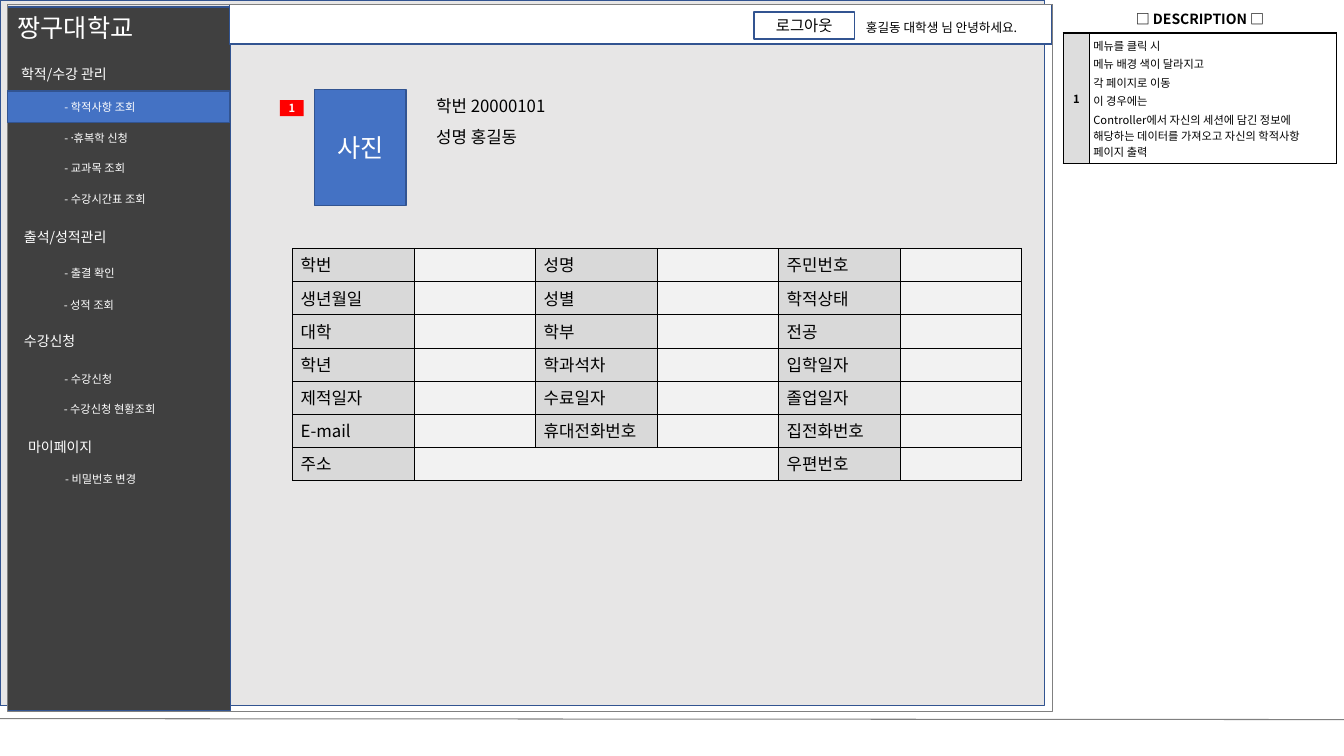
from lxml.etree import SubElement
from pptx import Presentation
from pptx.dml.color import RGBColor
from pptx.enum.shapes import MSO_CONNECTOR, MSO_SHAPE
from pptx.enum.text import MSO_ANCHOR, PP_ALIGN
from pptx.oxml import parse_xml
from pptx.oxml.ns import nsdecls, qn
from pptx.util import Pt

FONT = "Noto Sans CJK KR"
BLACK = RGBColor(0x00, 0x00, 0x00)
WHITE = RGBColor(0xFF, 0xFF, 0xFF)
NAVY = RGBColor(0x32, 0x54, 0x91)
BLUE = RGBColor(0x44, 0x72, 0xC4)
RED = RGBColor(0xFF, 0x00, 0x00)
GRAY = RGBColor(0x80, 0x80, 0x80)
DARK = RGBColor(0x40, 0x40, 0x40)
PAGE_GRAY = RGBColor(0xE7, 0xE6, 0xE6)
LABEL_GRAY = RGBColor(0xD9, 0xD9, 0xD9)
VALUE_GRAY = RGBColor(0xF2, 0xF2, 0xF2)
NUMBER_GRAY = RGBColor(0xDD, 0xDD, 0xDD)

MENU_HEADINGS = [
    ("학적/수강 관리", 8, 43),
    ("출석/성적관리", 10, 160),
    ("수강신청", 10, 234),
    ("마이페이지", 13, 309.5),
]
MENU_ITEMS = [
    ("- 학적사항 조회", 39, 68),
    ("- 휴〮복학 신청", 39, 90),
    ("- 교과목 조회", 39, 111.5),
    ("- 수강시간표 조회", 39, 134),
    ("- 출결 확인", 39, 186.5),
    ("- 성적 조회", 38.5, 209.5),
    ("- 수강신청", 39, 262.5),
    ("- 수강신청 현황조회", 38.5, 284),
    ("- 비밀번호 변경", 39.5, 333.5),
]
RECORD_LABELS = [
    ("학번", "성명", "주민번호"),
    ("생년월일", "성별", "학적상태"),
    ("대학", "학부", "전공"),
    ("학년", "학과석차", "입학일자"),
    ("제적일자", "수료일자", "졸업일자"),
    ("E-mail", "휴대전화번호", "집전화번호"),
    ("주소", "", "우편번호"),
]
DESCRIPTION = [
    "메뉴를 클릭 시",
    "메뉴 배경 색이 달라지고",
    "각 페이지로 이동",
    "이 경우에는",
    "Controller에서 자신의 세션에 담긴 정보에 해당하는 데이터를 가져오고 자신의 학적사항 페이지 출력",
]


def write_text(frame, lines, size, color, bold=False, align=PP_ALIGN.LEFT, before=0):
    """Fill a text frame with one uniformly styled paragraph per line."""
    for index, line in enumerate(lines):
        para = frame.add_paragraph() if index else frame.paragraphs[0]
        para.text = line
        para.alignment = align
        para.space_before = Pt(before)
        para.font.size = Pt(size)
        para.font.bold = bold
        para.font.color.rgb = color
        para.font.name = FONT
        properties = para._p.pPr.find(qn("a:defRPr"))
        SubElement(properties, qn("a:ea")).set("typeface", FONT)


def add_label(page, text, left, top, width, height, size, color=WHITE, wrap=False):
    """Add a plain text box."""
    box = page.shapes.add_textbox(Pt(left), Pt(top), Pt(width), Pt(height))
    box.text_frame.word_wrap = wrap
    write_text(box.text_frame, [text], size, color)


def add_panel(page, left, top, width, height, fill=None, line=NAVY, weight=1):
    """Add a flat rectangle with optional fill and outline."""
    panel = page.shapes.add_shape(
        MSO_SHAPE.RECTANGLE, Pt(left), Pt(top), Pt(width), Pt(height))
    panel.shadow.inherit = False
    if fill is None:
        panel.fill.background()
    else:
        panel.fill.solid()
        panel.fill.fore_color.rgb = fill
    if line is None:
        panel.line.fill.background()
    else:
        panel.line.color.rgb = line
        panel.line.width = Pt(weight)
    return panel


def add_caption(panel, text, size, color, bold=False):
    """Centre one line of text in a panel."""
    frame = panel.text_frame
    frame.vertical_anchor = MSO_ANCHOR.MIDDLE
    frame.word_wrap = False
    write_text(frame, [text], size, color, bold, PP_ALIGN.CENTER)


def add_rule(page, left, top, right, bottom):
    """Add a thin gray line."""
    rule = page.shapes.add_connector(
        MSO_CONNECTOR.STRAIGHT, Pt(left), Pt(top), Pt(right), Pt(bottom))
    rule.line.color.rgb = GRAY
    rule.line.width = Pt(0.75)
    SubElement(rule._element.spPr, qn("a:effectLst"))


def style_cell(cell, fill, sides, weight, margin_x, margin_y):
    """Set the fill, margins and black borders of a table cell."""
    cell.fill.solid()
    cell.fill.fore_color.rgb = fill
    cell.margin_left = cell.margin_right = Pt(margin_x)
    cell.margin_top = cell.margin_bottom = Pt(margin_y)
    properties = cell._tc.get_or_add_tcPr()
    for index, side in enumerate("LRTB"):
        paint = ('<a:solidFill><a:srgbClr val="000000"/></a:solidFill>'
                 if side in sides else "<a:noFill/>")
        properties.insert(index, parse_xml(
            f'<a:ln{side} {nsdecls("a")} w="{Pt(weight)}">{paint}</a:ln{side}>'))


def add_grid(page, left, top, widths, heights):
    """Add a table with the given column widths and row heights."""
    frame = page.shapes.add_table(
        len(heights), len(widths), Pt(left), Pt(top), Pt(sum(widths)), Pt(sum(heights)))
    for column, width in zip(frame.table.columns, widths):
        column.width = Pt(width)
    for row, height in zip(frame.table.rows, heights):
        row.height = Pt(height)
    return frame.table


def add_description(page):
    """Add the numbered description table."""
    table = add_grid(page, 759.5, 3.5, [18.7, 176.6], [19.5, 93.5])
    for column in range(2):
        style_cell(table.cell(0, column), WHITE, "B", 1, 2.83, 2.83)
        fill = WHITE if column else NUMBER_GRAY
        style_cell(table.cell(1, column), fill, "LRTB", 1, 2.83, 2.83)
    title, number, detail = table.cell(0, 0), table.cell(1, 0), table.cell(1, 1)
    title.merge(table.cell(0, 1))
    for cell in (title, number, detail):
        cell.vertical_anchor = MSO_ANCHOR.MIDDLE
    write_text(title.text_frame, ["□ DESCRIPTION □"], 10, BLACK, True, PP_ALIGN.CENTER, 2)
    write_text(number.text_frame, ["1"], 8, BLACK, True, PP_ALIGN.CENTER, 1.6)
    write_text(detail.text_frame, DESCRIPTION, 8, BLACK, before=1.6)


def add_record(page):
    """Add the student record table of labels and empty values."""
    table = add_grid(page, 208.8, 177.3, [86.8] * 6, [23.7] * 7)
    for row, labels in enumerate(RECORD_LABELS):
        for column in range(6):
            text = "" if column % 2 else labels[column // 2]
            cell = table.cell(row, column)
            style_cell(cell, LABEL_GRAY if text else VALUE_GRAY, "LRTB", 0.25, 6, 3)
            write_text(cell.text_frame, [text], 12, BLACK)
    table.cell(6, 1).merge(table.cell(6, 3))


def add_menu(page):
    """Add the sidebar headings and items with the current item highlighted."""
    add_panel(page, 5.5, 65, 158.5, 22.5, BLUE)
    add_label(page, "짱구대학교", 5.5, 5, 105, 29, 18)
    for text, left, top in MENU_HEADINGS:
        add_label(page, text, left, top, 217.5, 19.5, 10, wrap=True)
    for text, left, top in MENU_ITEMS:
        add_label(page, text, left, top, 80, 17, 8)


def main():
    """Build the student record page and save it."""
    deck = Presentation()
    deck.slide_width, deck.slide_height = Pt(960), Pt(540)
    page = deck.slides.add_slide(deck.slide_layouts[6])
    add_panel(page, 0, 0, 746, 504, PAGE_GRAY)
    add_panel(page, 5.5, 5, 159, 502.5, DARK)
    add_panel(page, 164, 3, 587.5, 28.5, WHITE)
    add_description(page)
    add_panel(page, 5.5, 3.5, 746, 504.5, line=GRAY, weight=0.75)
    add_rule(page, 0, 513.3, 960, 514)
    add_menu(page)
    add_label(page, "홍길동 대학생 님 안녕하세요.", 611.5, 10.5, 135.5, 18, 9, BLACK)
    add_caption(add_panel(page, 538.5, 8.5, 72, 19.5, WHITE), "로그아웃", 11, BLACK)
    add_caption(add_panel(page, 224.5, 64, 65.5, 83, BLUE), "사진", 18, WHITE)
    add_label(page, "학번 20000101", 304.5, 65, 96.5, 21.5, 12, BLACK)
    add_label(page, "성명 홍길동", 304.5, 87, 79, 21.5, 12, BLACK)
    add_record(page)
    add_caption(add_panel(page, 200, 71.5, 17, 11.5, RED, None), "1", 8, WHITE, True)
    deck.save("out.pptx")


if __name__ == "__main__":
    main()
